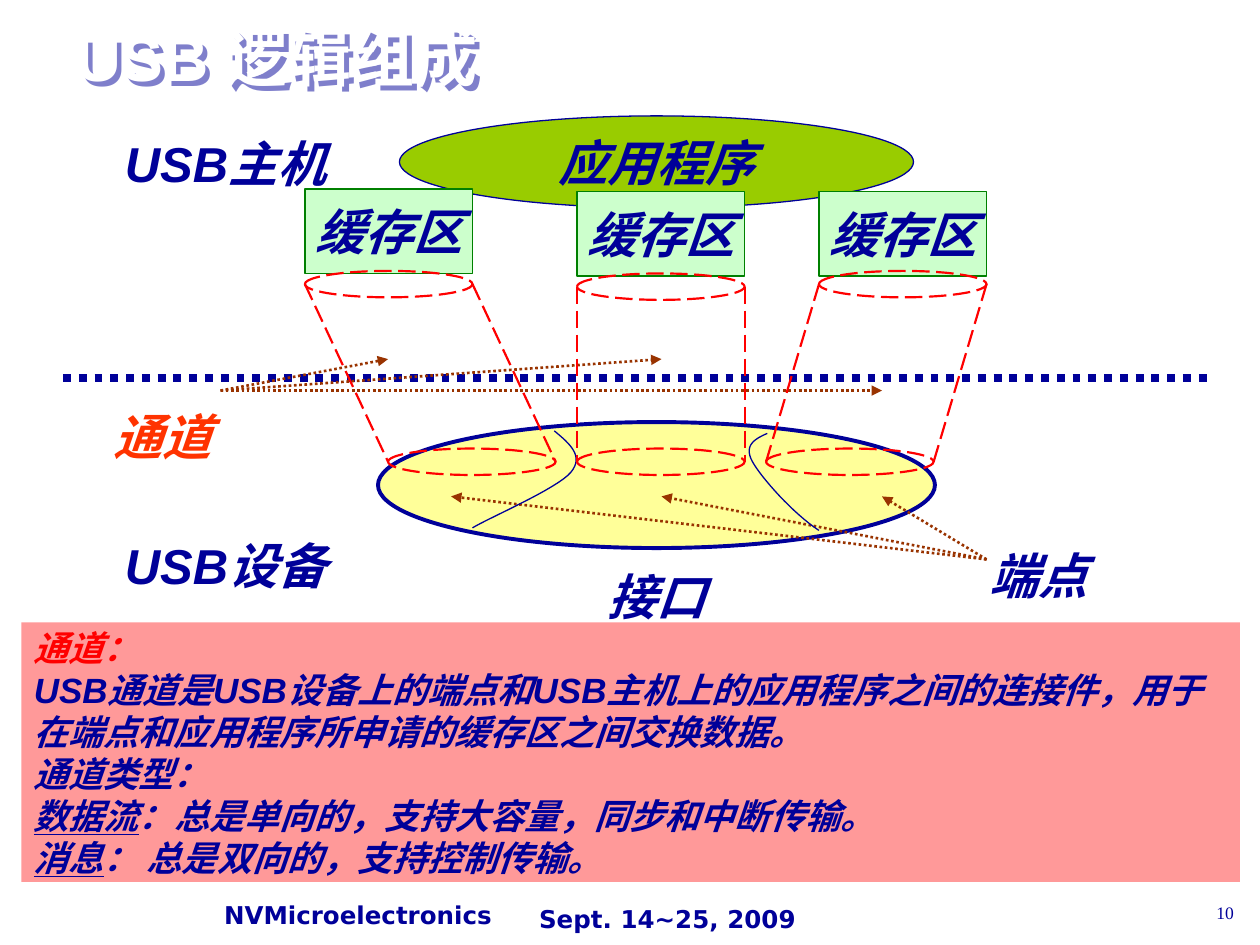
"""Build the slide on the logical structure of USB."""
from lxml import etree
from pptx import Presentation
from pptx.dml.color import RGBColor
from pptx.enum import dml, shapes, text
from pptx.oxml import parse_xml
from pptx.oxml.ns import nsdecls, qn
from pptx.util import Inches, Pt

NAVY = RGBColor(0x00, 0x00, 0x99)
WHITE = RGBColor(0xFF, 0xFF, 0xFF)
RED = RGBColor(0xFF, 0x00, 0x00)
ORANGE = RGBColor(0xFF, 0x33, 0x00)
BROWN = RGBColor(0x99, 0x33, 0x00)
GREEN = RGBColor(0x00, 0x80, 0x00)
LIME = RGBColor(0x99, 0xCC, 0x00)
MINT = RGBColor(0xCC, 0xFF, 0xCC)
YELLOW = RGBColor(0xFF, 0xFF, 0x99)
PINK = RGBColor(0xFF, 0x99, 0x99)
LEFT, CENTER, RIGHT = text.PP_ALIGN.LEFT, text.PP_ALIGN.CENTER, text.PP_ALIGN.RIGHT
OVAL, RECTANGLE = shapes.MSO_SHAPE.OVAL, shapes.MSO_SHAPE.RECTANGLE
DOTS, DASHES = dml.MSO_LINE.ROUND_DOT, dml.MSO_LINE.LONG_DASH


def write(box, lines, size, color, font="Arial", italic=True, align=CENTER, wrap=False):
    frame = box.text_frame
    frame.word_wrap = wrap
    frame.vertical_anchor = text.MSO_ANCHOR.MIDDLE
    for index, line in enumerate(lines):
        para = frame.add_paragraph() if index else frame.paragraphs[0]
        para.text = line
        para.alignment = align
        para.font.size, para.font.name = Pt(size), font
        para.font.bold, para.font.italic = True, italic
        para.font.color.rgb = color
    return frame.paragraphs


def draw_line(parent, start, end, color, width, dash, arrow=False):
    line = parent.add_connector(shapes.MSO_CONNECTOR.STRAIGHT, *map(Inches, start + end))
    line.line.color.rgb, line.line.width, line.line.dash_style = color, Pt(width), dash
    if arrow:
        etree.SubElement(line.line._get_or_add_ln(), qn("a:tailEnd"), type="triangle")
    etree.SubElement(line._element.spPr, qn("a:effectLst"))


deck = Presentation()
deck.slide_width, deck.slide_height = Inches(10), Inches(7.5)
page = deck.slides.add_slide(deck.slide_layouts[6])

for footer, left, top, width, height in [
    ("NVMicroelectronics", 1.68, 7.11, 2.5, 0.3),
    ("Sept. 14~25, 2009", 4.18, 7.1, 2.33, 0.39),
]:
    box = page.shapes.add_textbox(*map(Inches, (left, top, width, height)))
    write(box, [footer], 14, NAVY, "DejaVu Sans", False, LEFT, True)

device = page.shapes.add_shape(OVAL, Inches(3), Inches(3.35), Inches(4.42), Inches(1))
device.shadow.inherit = False
device.fill.solid()
device.fill.fore_color.rgb = YELLOW
device.line.color.rgb, device.line.width = NAVY, Pt(2.25)

title = page.shapes.add_textbox(Inches(0.5), Inches(0.17), Inches(9.08), Inches(0.67))
write(title, ["USB 逻辑组成"], 36, WHITE, italic=False, align=LEFT, wrap=True)[0].line_spacing = 0.8
title._element.spPr.append(parse_xml(
    f'<a:effectLst {nsdecls("a")}><a:outerShdw dist="45720" dir="2700000">'
    f'<a:srgbClr val="{NAVY}"><a:alpha val="50000"/></a:srgbClr></a:outerShdw></a:effectLst>'))

draw_line(page.shapes, (0.5, 3), (9.58, 3), NAVY, 4.5, DOTS)
for start, targets in [
    ((1.75, 3.1), [(3.08, 2.85), (5.25, 2.85), (7, 3.1)]),
    ((7.83, 4.44), [(7, 3.94), (5.25, 3.94), (3.58, 3.94)]),
]:
    for target in targets:
        draw_line(page.shapes, start, target, BROWN, 1.5, DOTS, arrow=True)

STEPS = 16
for divider in [
    [(4.4, 3.42), (4.52, 3.52), (4.64, 3.62), (4.53, 3.75), (4.42, 3.88), (3.88, 4.11), (3.75, 4.19)],
    [(6.09, 3.44), (6, 3.48), (5.9, 3.53), (5.97, 3.66), (6.04, 3.79), (6.3, 4.08), (6.5, 4.21)],
]:
    points = []
    for first in (0, 3):
        for step in range(1, STEPS + 1):
            t = step / STEPS
            weights = ((1 - t) ** 3, 3 * t * (1 - t) ** 2, 3 * t * t * (1 - t), t ** 3)
            controls = divider[first:first + 4]
            points.append([Inches(sum(w * c[axis] for w, c in zip(weights, controls))) for axis in (0, 1)])
    builder = page.shapes.build_freeform(*map(Inches, divider[0]))
    builder.add_line_segments(points, close=False)
    curve = builder.convert_to_shape()
    curve.shadow.inherit = False
    curve.fill.background()
    curve.line.color.rgb, curve.line.width = NAVY, Pt(0.75)

panel = page.shapes.add_shape(RECTANGLE, Inches(0.17), Inches(4.94), Inches(9.67), Inches(2.06))
panel.shadow.inherit = False
panel.fill.solid()
panel.fill.fore_color.rgb = PINK
panel.line.fill.background()
paras = write(panel, [
    "通道：",
    "USB通道是USB设备上的端点和USB主机上的应用程序之间的连接件，用于在端点和应用程序所申请的缓存区之间交换数据。",
    "通道类型：",
    "数据流",
    "消息",
], 20, NAVY, align=LEFT, wrap=True)
paras[0].font.color.rgb = RED
for para, rest in zip(paras[3:], ["：总是单向的，支持大容量，同步和中断传输。", "： 总是双向的，支持控制传输。"]):
    para.runs[0].font.underline = True
    span = para.add_run()
    span.text = rest

for kind, caption, left, top, width, height, fill, outline in [
    (OVAL, "应用程序", 3.17, 0.92, 4.08, 0.73, LIME, NAVY),
    (RECTANGLE, "缓存区", 2.42, 1.5, 1.33, 0.67, MINT, GREEN),
    (RECTANGLE, "缓存区", 4.58, 1.52, 1.33, 0.67, MINT, GREEN),
    (RECTANGLE, "缓存区", 6.5, 1.52, 1.33, 0.67, MINT, GREEN),
]:
    box = page.shapes.add_shape(kind, *map(Inches, (left, top, width, height)))
    box.shadow.inherit = False
    box.fill.solid()
    box.fill.fore_color.rgb = fill
    box.line.color.rgb, box.line.width = outline, Pt(0.75)
    write(box, [caption], 28, NAVY)

PIPE_WIDTH, RIM_HEIGHT, PIPE_BOTTOM = 1.33, 0.21, 3.56
for top_left, pipe_top, bottom_left in [(2.42, 2.15, 3.08), (4.58, 2.17, 4.58), (6.5, 2.15, 6.08)]:
    pipe = page.shapes.add_group_shape().shapes
    for left, top in [(top_left, pipe_top), (bottom_left, PIPE_BOTTOM)]:
        rim = pipe.add_shape(OVAL, *map(Inches, (left, top, PIPE_WIDTH, RIM_HEIGHT)))
        rim.shadow.inherit = False
        rim.fill.background()
        rim.line.color.rgb, rim.line.width, rim.line.dash_style = RED, Pt(1.25), DASHES
    for offset in (0, PIPE_WIDTH):
        draw_line(pipe, (top_left + offset, pipe_top + RIM_HEIGHT / 2),
                  (bottom_left + offset, PIPE_BOTTOM + RIM_HEIGHT / 2), RED, 1.25, DASHES)

for caption, left, top, width, color, font in [
    ("USB主机", 1, 1.08, 1.58, NAVY, "Arial"),
    ("通道", 0.5, 3.25, 1.58, ORANGE, "Arial"),
    ("端点", 7.83, 4.35, 0.83, NAVY, "Arial"),
    ("接口", 4.42, 4.52, 1.58, NAVY, "DejaVu Sans"),
    ("USB设备", 1, 4.27, 1.58, NAVY, "Arial"),
]:
    label = page.shapes.add_shape(RECTANGLE, *map(Inches, (left, top, width, 0.42)))
    label.shadow.inherit = False
    label.fill.background()
    label.line.fill.background()
    write(label, [caption], 28, color, font)

number = page.shapes.add_textbox(Inches(8.94), Inches(7.11), Inches(0.95), Inches(0.39))
write(number, ["10"], 10, NAVY, "Times New Roman", False, RIGHT, True)[0].font.bold = False
number.text_frame.vertical_anchor = text.MSO_ANCHOR.TOP

deck.save("out.pptx")
